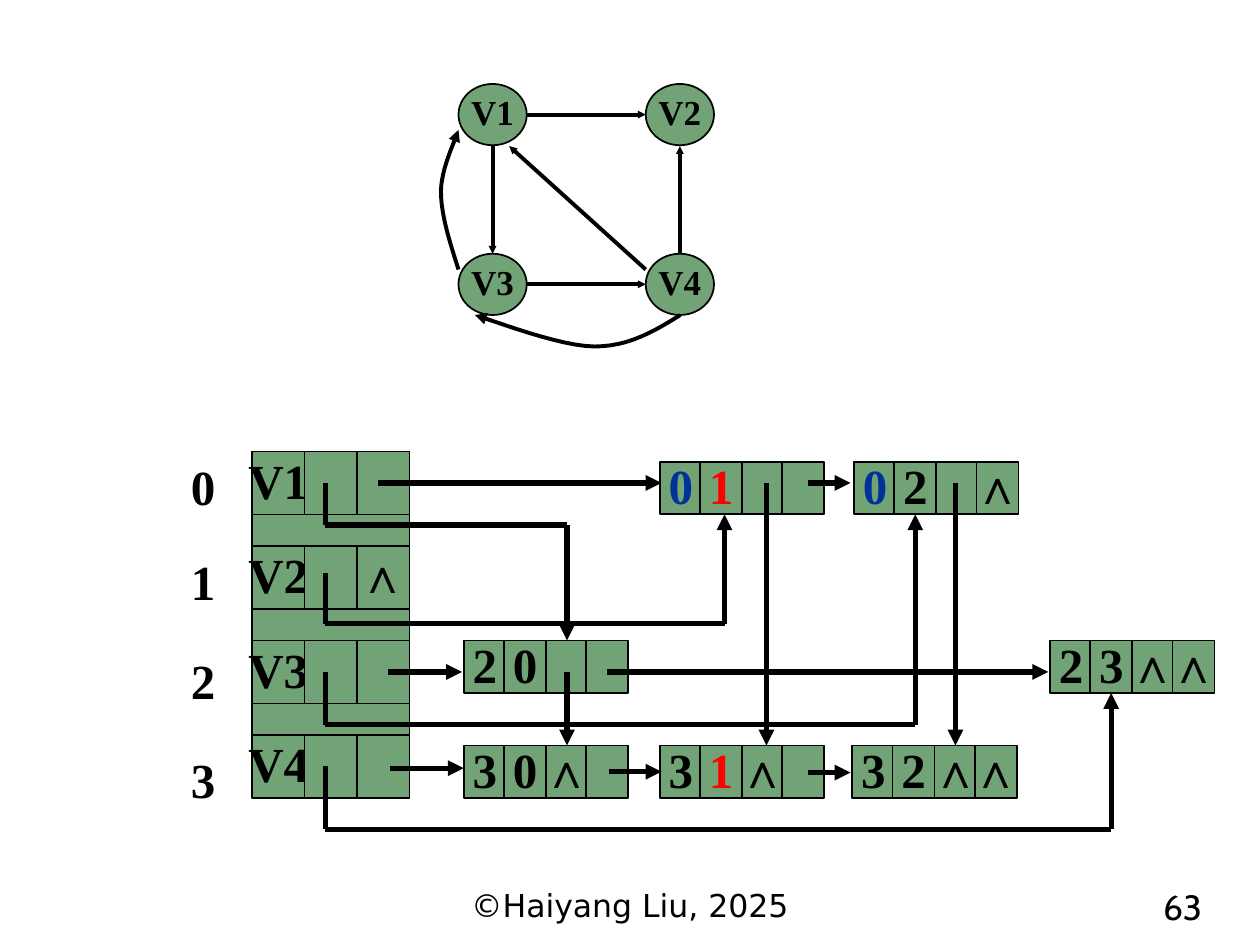
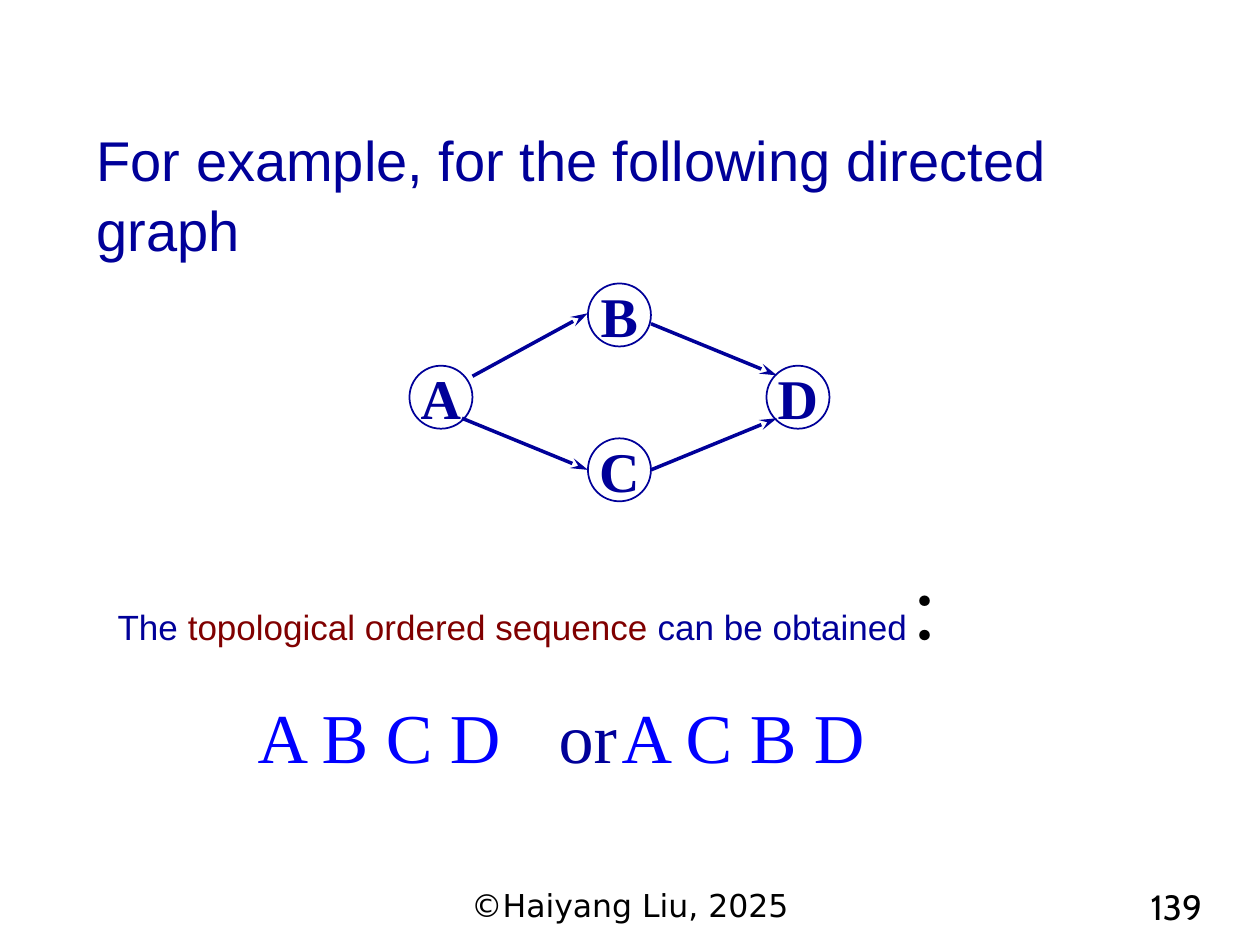
"""Build two slides on graph storage and topological order."""
from lxml import etree
from pptx import Presentation
from pptx import util as u
from pptx.dml.color import RGBColor
from pptx.enum import shapes, text
from pptx.oxml.ns import qn

BLACK = RGBColor(0, 0, 0)
GREEN = RGBColor(0x72, 0xA3, 0x76)
RED = RGBColor(0xFF, 0, 0)
BLUE = RGBColor(0, 0x33, 0x99)
NAVY = RGBColor(0, 0, 0x99)
MAROON = RGBColor(0x80, 0, 0)
BRIGHT = RGBColor(0, 0, 0xFF)
SERIF = "Times New Roman"
RECT = shapes.MSO_SHAPE.RECTANGLE
OVAL = shapes.MSO_SHAPE.OVAL
LINE = shapes.MSO_CONNECTOR.STRAIGHT


def draw(slide, kind, box, mark="", size=28, ink=BLACK, fill=GREEN, edge=BLACK):
    """Add an outlined shape with a bold centred mark."""
    item = slide.shapes.add_shape(kind, *map(u.Pt, box))
    item.shadow.inherit = False
    item.line.color.rgb = edge
    item.line.width = u.Pt(1)
    frame = item.text_frame
    frame.word_wrap = False
    frame.vertical_anchor = text.MSO_ANCHOR.MIDDLE
    if fill is None:
        item.fill.background()
    else:
        item.fill.solid()
        item.fill.fore_color.rgb = fill
        frame.margin_top = 0
    if mark:
        frame.text = mark
        para = frame.paragraphs[0]
        para.alignment = text.PP_ALIGN.CENTER
        font = para.runs[0].font
        font.name, font.size, font.bold = SERIF, u.Pt(size), True
        font.color.rgb = ink
    return item


def ink_line(item, hue, weight, head=None, wide="med", long="med"):
    """Style a line, its arrowhead and its missing shadow."""
    item.line.color.rgb = hue
    item.line.width = u.Pt(weight)
    props = item._element.spPr
    if head:
        tip = etree.SubElement(props.find(qn("a:ln")), qn("a:tailEnd"))
        tip.set("type", head)
        tip.set("w", wide)
        tip.set("len", long)
    if props.find(qn("a:effectLst")) is None:
        etree.SubElement(props, qn("a:effectLst"))


deck = Presentation()
deck.slide_width, deck.slide_height = u.Pt(720), u.Pt(540)
store = deck.slides.add_slide(deck.slide_layouts[6])
order = deck.slides.add_slide(deck.slide_layouts[1])

for name, x, y in [("V1", 262, 48), ("V2", 369, 48), ("V3", 262, 145), ("V4", 369, 145)]:
    draw(store, OVAL, (x, y, 39, 35), name, 20)

edges = [
    (301, 65.5, 369, 65.5), (388.5, 145, 388.5, 83.5), (369, 154, 291, 83.5),
    (301, 162.5, 369, 162.5), (281.5, 83.5, 281.5, 145),
]
for edge in edges:
    link = store.shapes.add_connector(LINE, *map(u.Pt, edge))
    ink_line(link, BLACK, 2.25, "triangle", "sm", "sm")

curves = [
    [(262, 154), (257, 138.2), (252, 123), (252, 109.4), (252, 96.5), (260, 80.6), (262, 74.2)],
    [(388.8, 180), (373.7, 189.4), (359.3, 198), (339.8, 198), (320.4, 198), (283, 183.6), (271.4, 180)],
]
for curve in curves:
    dots = []
    for first in (0, 3):
        a, b, c, d = curve[first:first + 4]
        for step in range(1, 13):
            t = step / 12
            s = 1 - t
            dots.append([
                u.Pt(s**3 * a[i] + 3 * s * s * t * b[i] + 3 * s * t * t * c[i] + t**3 * d[i])
                for i in (0, 1)
            ])
    pen = store.shapes.build_freeform(*map(u.Pt, curve[0]))
    pen.add_line_segments(dots, close=False)
    arc = pen.convert_to_shape()
    arc.fill.background()
    ink_line(arc, BLACK, 2.25, "triangle")

for row in range(4):
    top = 258 + 54 * row
    for col, mark in enumerate([f"V{row + 1}", "", "∧" if row == 1 else ""]):
        draw(store, RECT, (144 + 30 * col, top, 30, 36), mark)
    if row < 3:
        draw(store, RECT, (144, top + 36, 90, 18))

nodes = [
    ("20  ", 265, 366), ("30∧ ", 265, 426), ("31∧ ", 377, 426), ("32∧∧", 487, 426),
    ("23∧∧", 600, 366), ("01  ", 377, 264), ("02 ∧", 488, 264),
]
cells = {}
for marks, x, y in nodes:
    for col, mark in enumerate(marks):
        hue = {(0, "0"): BLUE, (1, "1"): RED}.get((col, mark), BLACK)
        box = (x + (0, 23, 47, 70)[col], y, 24, 30)
        cells[marks[:2], col] = draw(store, RECT, box, mark.strip(), ink=hue)

paths = [
    ([(216, 276), (378, 276)], None, 0),
    ([(462, 276), (486, 276)], None, 0),
    ([(222, 384), (264, 384)], None, 0),
    ([(347, 384), (599, 384)], None, 0),
    ([(223, 439), (265, 439)], None, 0),
    ([(348, 441), (378, 441)], None, 0),
    ([(462, 441.5), (486, 441.5)], None, 0),
    ([(186, 276), (186, 300), (324, 300), (324, 366)], ("20", 2), 0),
    ([(186, 327.5), (186, 356.5), (414, 356.5), (414, 294)], None, 0),
    ([(186, 384), (186, 414), (523, 414), (523, 294)], ("02", 1), 2),
    ([(186, 438), (186, 474), (635, 474), (635, 396)], ("23", 1), 2),
    ([(438, 276), (438, 426)], None, 0),
    ([(546, 276), (546, 426)], ("32", 2), 0),
    ([(324, 384), (324, 426)], ("30", 2), 0),
]
for dots, goal, side in paths:
    for start, end in zip(dots, dots[1:]):
        link = store.shapes.add_connector(LINE, *map(u.Pt, start + end))
        last = end == dots[-1]
        ink_line(link, BLACK, 3, "triangle" if last else None)
        if last and goal:
            link.end_connect(cells[goal], side)

index = store.shapes.add_textbox(*map(u.Pt, (102, 258, 30, 201))).text_frame
index.word_wrap = True
index.margin_top = u.Pt(3)
index.text = "0\n1\n2\n3"
for para, gap in zip(index.paragraphs, (0, 20.5, 23, 23)):
    para.space_before = u.Pt(gap)
    font = para.runs[0].font
    font.name, font.size, font.bold = SERIF, u.Pt(28), True
    font.color.rgb = BLACK

title = order.shapes.title
title.left, title.top, title.width, title.height = map(u.Pt, (48, 66, 620, 84))
frame = title.text_frame
frame.text = "For example, for the following directed graph"
frame.auto_size = text.MSO_AUTO_SIZE.NONE
frame.vertical_anchor = text.MSO_ANCHOR.TOP
para = frame.paragraphs[0]
para.alignment = text.PP_ALIGN.LEFT
para.line_spacing = 1.05
font = para.runs[0].font
font.name, font.size = "Arial", u.Pt(32)
font.color.rgb = NAVY

for name, x, y in [("B", 336, 162), ("D", 438, 209), ("A", 234, 209), ("C", 336, 250.5)]:
    draw(order, OVAL, (x, y, 36, 36), name, 32, NAVY, None, NAVY)
edges = [
    (270, 215, 336, 179), (264, 239, 336, 268.5),
    (372, 185, 444, 214.5), (372, 268.5, 444, 239),
]
for edge in edges:
    link = order.shapes.add_connector(LINE, *map(u.Pt, edge))
    ink_line(link, NAVY, 2, "stealth", "med", "lg")

body = order.placeholders[1]
body.left, body.top, body.width, body.height = map(u.Pt, (60, 322.5, 540, 128))
frame = body.text_frame
frame.auto_size = text.MSO_AUTO_SIZE.NONE
lines = [
    (0, 0, [("The ", "Arial", 20, NAVY), ("topological ordered sequence", "Arial", 20, MAROON),
            (" can be obtained", "Arial", 20, NAVY), ("：", SERIF, 40, BLACK)]),
    (22, 80, [("A B C D\t", SERIF, 40, BRIGHT), ("or\t", SERIF, 40, NAVY),
              ("A C B D", SERIF, 40, BRIGHT)]),
]
for row, (gap, indent, parts) in enumerate(lines):
    para = frame.add_paragraph() if row else frame.paragraphs[0]
    para.space_before = u.Pt(gap)
    props = para._p.get_or_add_pPr()
    props.set("marL", "0")
    props.set("indent", str(u.Pt(indent)))
    etree.SubElement(props, qn("a:buNone"))
    if indent:
        tabs = etree.SubElement(props, qn("a:tabLst"))
        for stop in (259, 332):
            etree.SubElement(tabs, qn("a:tab"), pos=str(u.Pt(stop)), algn="l")
    for words, face, size, hue in parts:
        run = para.add_run()
        run.text = words
        run.font.name, run.font.size = face, u.Pt(size)
        run.font.color.rgb = hue

for slide, page in [(store, "63"), (order, "139")]:
    notes = [
        ("©Haiyang Liu, 2025", 246, 228, "DejaVu Sans", 18, text.PP_ALIGN.CENTER),
        (page, 584, 110, "Cabin", 20, text.PP_ALIGN.RIGHT),
    ]
    for words, x, wide, face, size, align in notes:
        frame = slide.shapes.add_textbox(*map(u.Pt, (x, 502.5, wide, 28))).text_frame
        frame.word_wrap = True
        frame.text = words
        para = frame.paragraphs[0]
        para.alignment = align
        font = para.runs[0].font
        font.name, font.size = face, u.Pt(size)
        font.color.rgb = BLACK

deck.save("out.pptx")
